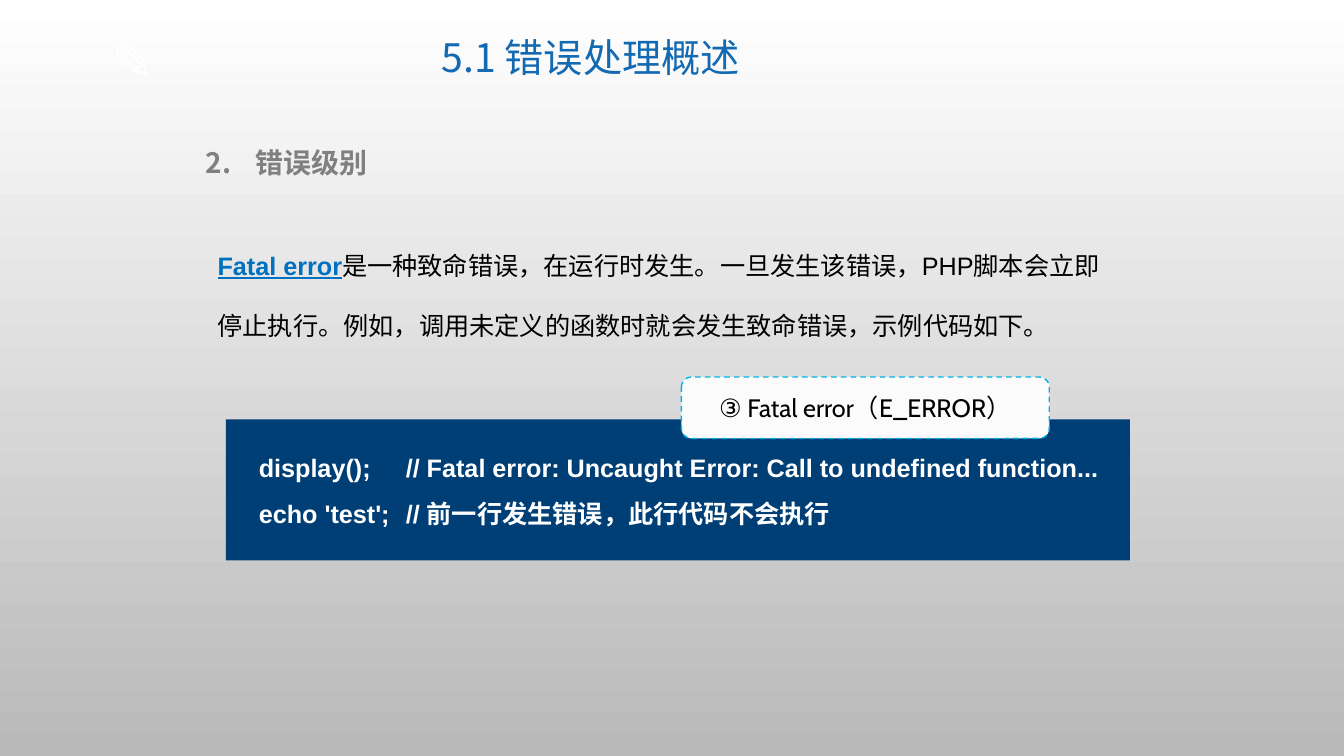
import dataclasses
import typing

import lxml.etree
import pptx
import pptx.dml.color
import pptx.enum.dml
import pptx.enum.shapes
import pptx.enum.text
import pptx.oxml.ns
import pptx.util

Pt = pptx.util.Pt
Align = pptx.enum.text.PP_ALIGN
Anchor = pptx.enum.text.MSO_ANCHOR
Shape = pptx.enum.shapes.MSO_SHAPE


@dataclasses.dataclass(frozen=True)
class Theme:
    white: str = "FFFFFF"
    black: str = "000000"
    fade: str = "B9B9B9"
    title: str = "1369B2"
    grey: str = "808080"
    link: str = "0070C0"
    navy: str = "003F75"
    pale: str = "FBFBFB"
    cyan: str = "00B4E9"
    sans: str = "Noto Sans CJK SC"
    latin: str = "Arial"
    round: str = "Cabin"
    icon: int = 36
    large: int = 28
    mid: int = 20
    small: int = 18


THEME = Theme()


class Run(typing.NamedTuple):
    text: str
    color: str
    size: int = THEME.small
    font: str = THEME.latin
    bold: bool = False
    under: bool = False


class Box(typing.NamedTuple):
    left: float
    top: float
    width: float
    height: float
    lines: list[list[Run]]
    align: Align = Align.LEFT
    anchor: Anchor = Anchor.TOP
    space: float = 1.0
    wrap: bool = True
    tab: float = 0
    start: int = 0


def rgb(code: str) -> pptx.dml.color.RGBColor:
    return pptx.dml.color.RGBColor.from_string(code)


def add_node(parent: typing.Any, tag: str, **attrs: str) -> typing.Any:
    return lxml.etree.SubElement(parent, pptx.oxml.ns.qn(tag), attrs)


def add_run(para: typing.Any, text: str, *, color: str, size: int, font: str,
            bold: bool, under: bool) -> None:
    run = para.add_run()
    run.text = text
    run.font.size = Pt(size)
    run.font.bold = bold
    run.font.underline = under
    run.font.color.rgb = rgb(color)
    run.font.name = font
    add_node(run.font._element, "a:ea", typeface=THEME.sans)


def fill_text(frame: typing.Any, box: Box) -> None:
    frame.word_wrap = box.wrap
    frame.vertical_anchor = box.anchor
    for index, line in enumerate(box.lines):
        para = frame.add_paragraph() if index else frame.paragraphs[0]
        para.alignment = box.align
        para.line_spacing = box.space
        props = para._p.get_or_add_pPr()
        if box.start:
            props.set("marL", str(Pt(36)))
            props.set("indent", str(-Pt(36)))
            add_node(props, "a:buFont", typeface=THEME.sans)
            add_node(props, "a:buAutoNum", type="arabicPeriod",
                     startAt=str(box.start))
        if box.tab:
            tabs = add_node(props, "a:tabLst")
            add_node(tabs, "a:tab", pos=str(Pt(box.tab)), algn="l")
        for run in line:
            add_run(para, **run._asdict())


def add_box(slide: typing.Any, box: Box) -> None:
    place = map(Pt, box[:4])
    fill_text(slide.shapes.add_textbox(*place).text_frame, box)


def add_panel(slide: typing.Any, kind: Shape, box: Box, fill: str,
              edge: str = "") -> None:
    """Draw a filled shape, with a dashed outline when edge is given."""
    shape = slide.shapes.add_shape(kind, *map(Pt, box[:4]))
    shape.shadow.inherit = False
    shape.fill.solid()
    shape.fill.fore_color.rgb = rgb(fill)
    if edge:
        shape.line.color.rgb = rgb(edge)
        shape.line.width = Pt(1)
        shape.line.dash_style = pptx.enum.dml.MSO_LINE.DASH
    else:
        shape.line.fill.background()
    fill_text(shape.text_frame, box)


def shade(slide: typing.Any) -> None:
    """Fade the background from white at the top to grey."""
    fill = slide.background.fill
    fill.gradient()
    fill.gradient_angle = 270
    for stop, color, pos in zip(fill.gradient_stops,
                                (THEME.white, THEME.fade), (0, 1)):
        stop.color.rgb = rgb(color)
        stop.position = pos


PENCIL = Box(72.7, 17.3, 61.9, 51.1, wrap=False, lines=[
    [Run("✎", THEME.white, THEME.icon, THEME.sans, bold=True)]])
TITLE = Box(174.2, 12.2, 495.4, 61.2, align=Align.CENTER,
            anchor=Anchor.MIDDLE, space=0.9, lines=[
                [Run("5.1 错误处理概述", THEME.title, THEME.large, THEME.sans)]])
HEAD = Box(139.7, 100.1, 663.8, 31.7, start=2, lines=[
    [Run("错误级别", THEME.grey, THEME.mid, THEME.sans, bold=True)]])
PANEL = Box(161.3, 299.5, 645.8, 100.8, lines=[])
CODE = Box(177.8, 308.9, 616.3, 68.4, space=1.5, tab=105, lines=[
    [Run(text, THEME.white, bold=True)] for text in (
        "display();\t// Fatal error: Uncaught Error: "
        "Call to undefined function...",
        "echo 'test';\t// 前一行发生错误，此行代码不会执行")])
LABEL = Box(486.7, 269.3, 262.8, 43.9, align=Align.CENTER,
            anchor=Anchor.MIDDLE, lines=[
                [Run("③ Fatal error（E_ERROR）", THEME.black,
                     font=THEME.round)]])
BODY = Box(148.3, 153.4, 661.7, 87.8, space=2.0, lines=[[
    Run("Fatal error", THEME.link, bold=True, under=True),
    Run("是一种致命错误，在运行时发生。一旦发生该错误，PHP脚本会立即停止执行。"
        "例如，调用未定义的函数时就会发生致命错误，示例代码如下。", THEME.black)]])


def main() -> None:
    deck = pptx.Presentation()
    deck.slide_width, deck.slide_height = Pt(960), Pt(540)
    slide = deck.slides.add_slide(deck.slide_layouts[6])
    shade(slide)
    for box in (PENCIL, TITLE, HEAD):
        add_box(slide, box)
    add_panel(slide, Shape.RECTANGLE, PANEL, THEME.navy)
    add_box(slide, CODE)
    add_panel(slide, Shape.ROUNDED_RECTANGLE, LABEL, THEME.pale, THEME.cyan)
    add_box(slide, BODY)
    deck.save("out.pptx")


if __name__ == "__main__":
    main()
